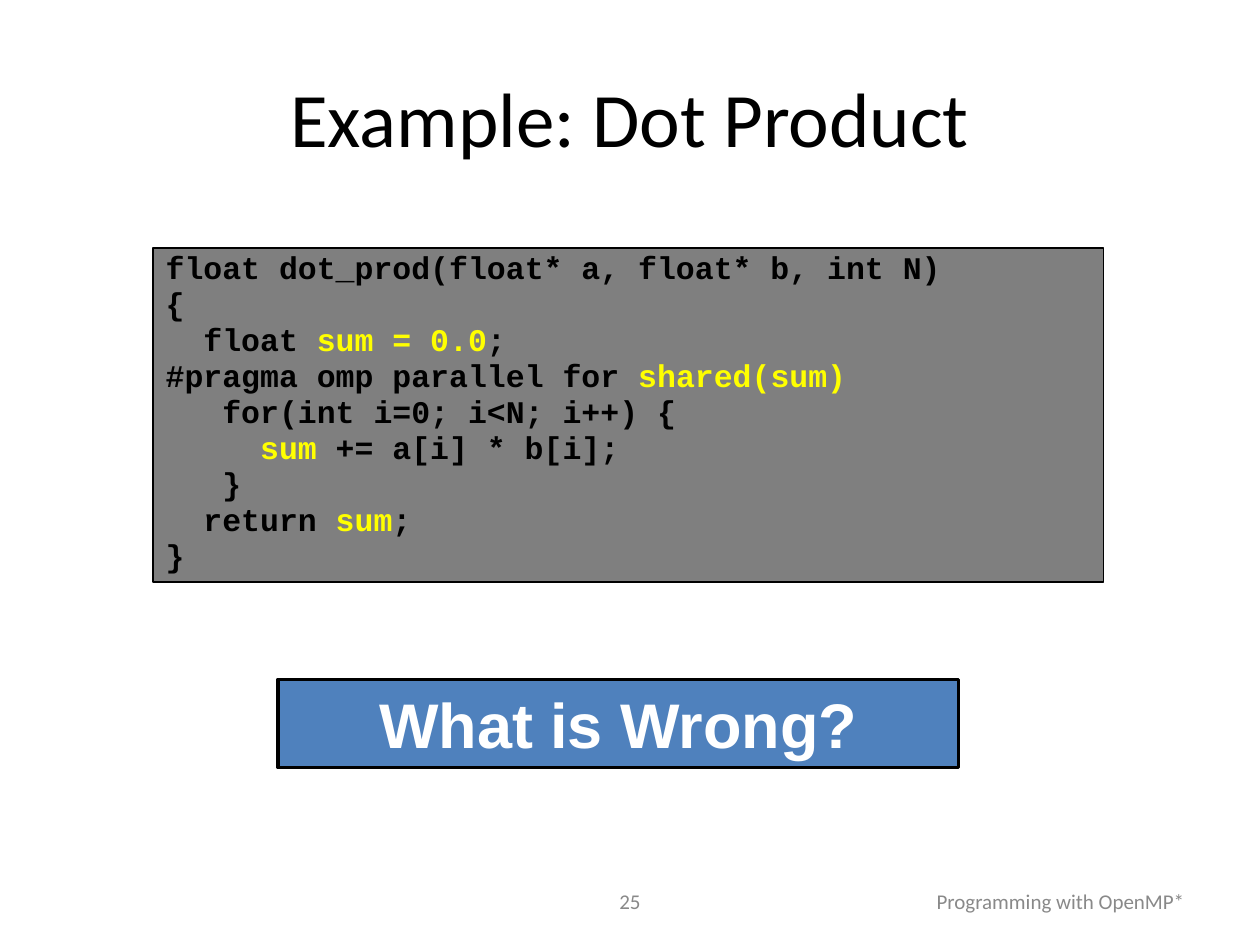
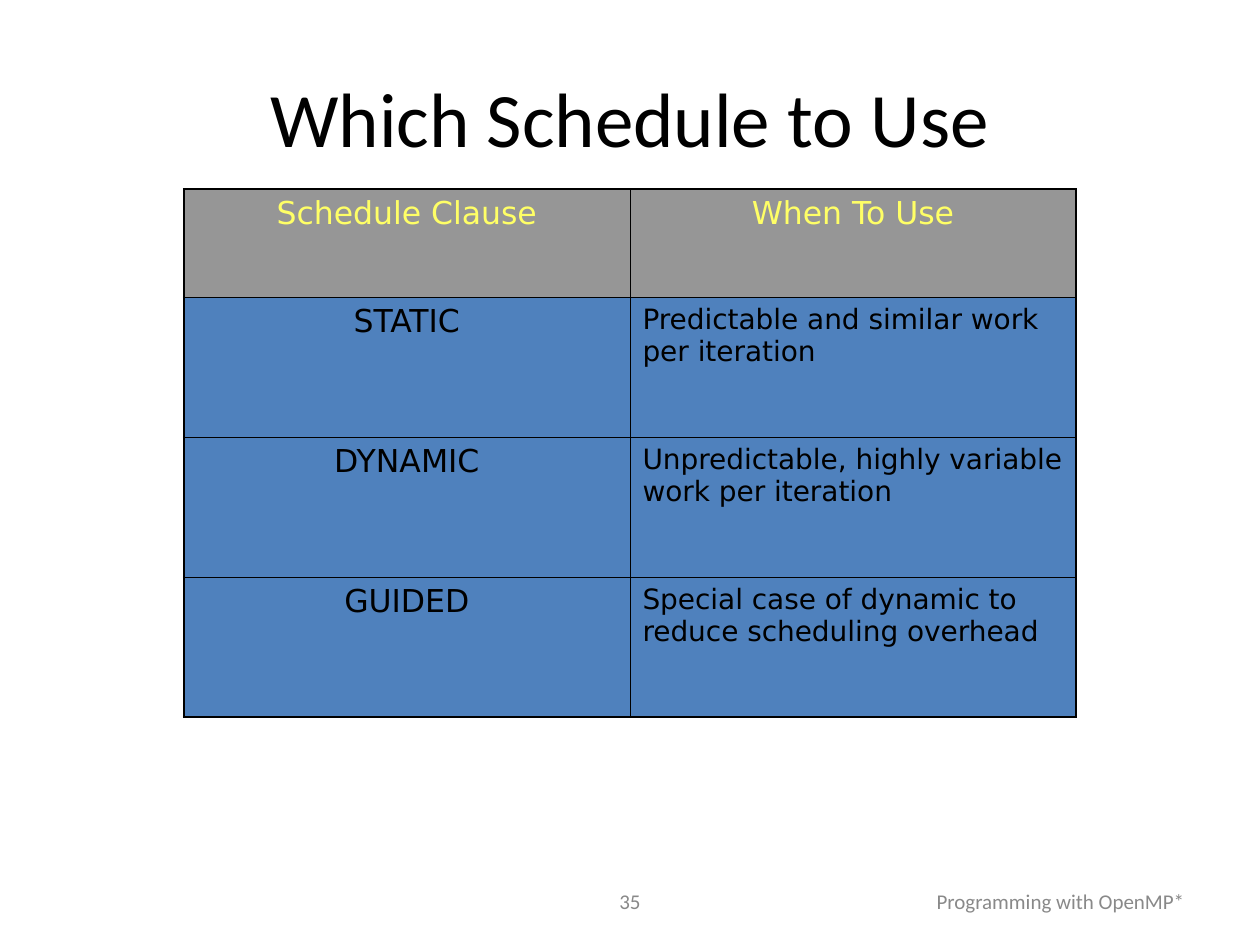
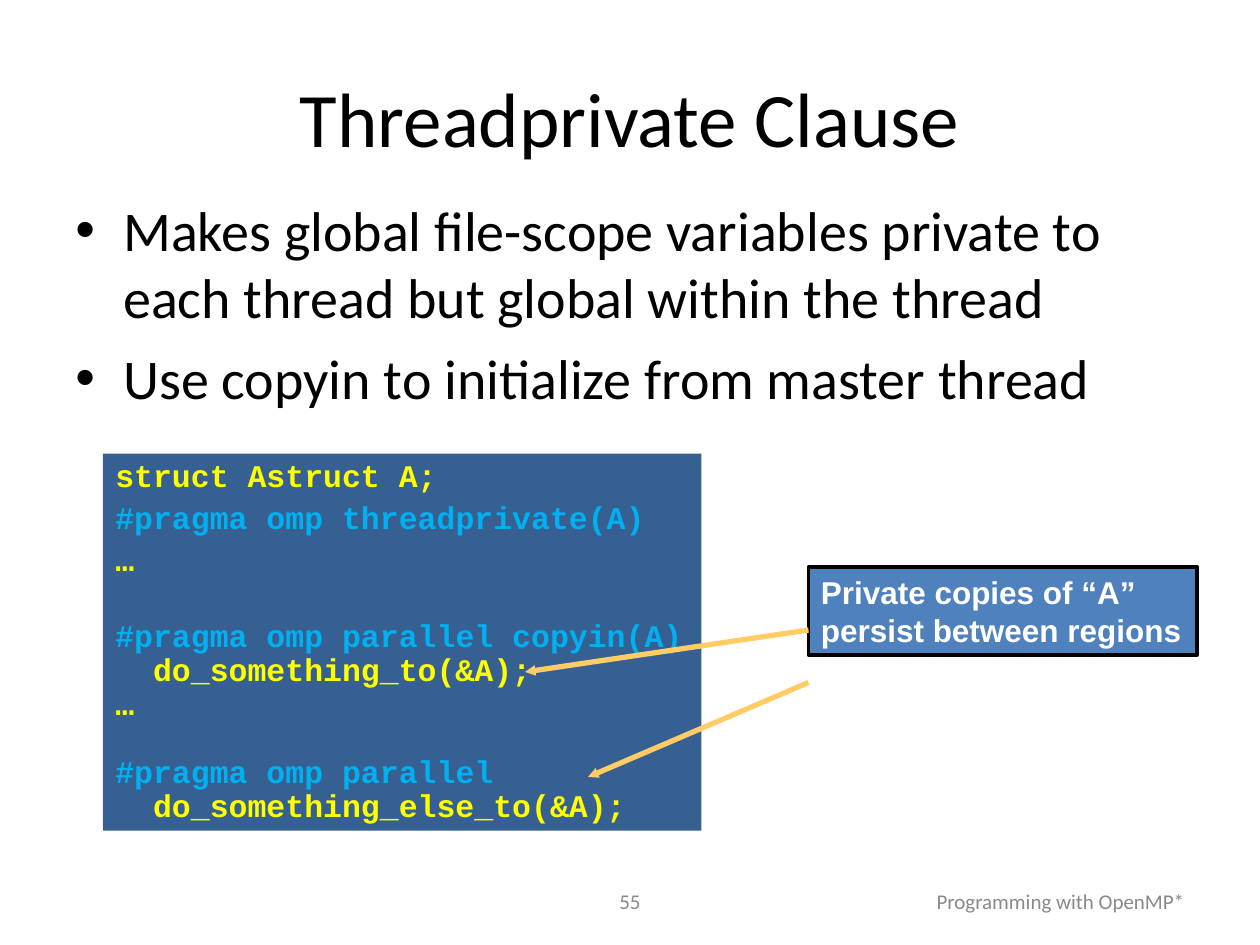
from pptx import Presentation, util as u
from pptx.dml.color import RGBColor
from pptx.enum import shapes, text
from pptx.oxml import parse_xml
from pptx.oxml.ns import nsdecls, qn

COLORS = {
    "black": "000000", "white": "FFFFFF", "footer": "898989",
    "code_gray": "7F7F7F", "code_navy": "376092", "blue": "4F81BD",
    "yellow": "FFFF00", "cyan": "00B0F0", "arrow": "FFCC66",
    "header": "969696", "header_text": "FFFF66",
}
CELL = u.Inches(1) / 12          # one grid column or row
CODE_CHARACTER = 0.15            # inches, width of an 18 pt code character
ALIGN = {"left": text.PP_ALIGN.LEFT, "center": text.PP_ALIGN.CENTER,
         "right": text.PP_ALIGN.RIGHT}


def grid(*cells):
    """Turn grid columns or rows into lengths."""
    return [u.Emu(round(cell * CELL)) for cell in cells]


def rgb(name):
    """Look up a named colour."""
    return RGBColor.from_string(COLORS[name])


def drawing(tag, content="", attributes=""):
    """Make one DrawingML element."""
    return parse_xml(f'<a:{tag} {nsdecls("a")} {attributes}>{content}</a:{tag}>')


def write(frame, content, first=True, size=18, font="Calibri", color="black",
          bold=False, align="left", before=0, spacing=None, margin=0,
          hanging=0, bullet=None):
    """Write one paragraph: a string, or a list of (string, colour) runs."""
    paragraph = frame.paragraphs[0] if first else frame.add_paragraph()
    paragraph.alignment = ALIGN[align]
    paragraph.space_before = u.Pt(before)
    if spacing:
        paragraph.line_spacing = spacing
    properties = paragraph._p.get_or_add_pPr()
    if margin or hanging:
        properties.set("marL", str(u.Inches(margin)))
        properties.set("indent", str(-u.Inches(hanging)))
    if bullet:
        properties.append(drawing("buFont", attributes='typeface="Arial"'))
        properties.append(drawing("buChar", attributes=f'char="{bullet}"'))
    runs = [(content, color)] if isinstance(content, str) else content
    for words, run_color in runs:
        run = paragraph.add_run()
        run.text = words
        run.font.size, run.font.name, run.font.bold = u.Pt(size), font, bold
        run.font.color.rgb = rgb(run_color)


class Deck:
    """The presentation, its style and the current slide."""

    def __init__(self):
        """Start a 4:3 presentation of 120 columns by 90 rows."""
        self.presentation = Presentation()
        self.presentation.slide_width, self.presentation.slide_height = grid(120, 90)
        self.slide = None

    def new_slide(self, title, number):
        """Add a slide with its footer and title."""
        self.slide = self.presentation.slides.add_slide(
            self.presentation.slide_layouts[6])
        footer = dict(size=12, color="footer")
        write(self.text_box(41, 83.4, 38, 4.8), str(number), align="center", **footer)
        write(self.text_box(86, 83.4, 28, 4.8), "Programming with OpenMP*",
              align="right", **footer)
        write(self.text_box(6, 3.6, 108, 15), title, size=44, align="center")

    def text_box(self, left, top, width, height, middle=True):
        """Add a wrapping text box and return its frame."""
        frame = self.slide.shapes.add_textbox(*grid(left, top, width, height)).text_frame
        frame.word_wrap = True
        frame.vertical_anchor = text.MSO_ANCHOR.MIDDLE if middle else text.MSO_ANCHOR.TOP
        return frame

    def panel(self, left, top, width, height, fill, line=0, middle=False):
        """Add a filled rectangle and return its text frame."""
        shape = self.slide.shapes.add_shape(
            shapes.MSO_SHAPE.RECTANGLE, *grid(left, top, width, height))
        shape.shadow.inherit = False
        shape.fill.solid()
        shape.fill.fore_color.rgb = rgb(fill)
        if line:
            shape.line.color.rgb = rgb("black")
            shape.line.width = u.Pt(line)
        else:
            shape.line.fill.background()
        frame = shape.text_frame
        frame.word_wrap = True
        frame.vertical_anchor = text.MSO_ANCHOR.MIDDLE if middle else text.MSO_ANCHOR.TOP
        return frame

    def code(self, frame, lines):
        """Write code lines given as (indent in characters, content, format)."""
        for index, (indent, content, style) in enumerate(lines):
            write(frame, content, first=index == 0, font="Courier New", bold=True,
                  margin=indent * CODE_CHARACTER, **style)

    def bullets(self, left, top, width, height, items):
        """Add a bulleted list."""
        frame = self.text_box(left, top, width, height, middle=False)
        for index, item in enumerate(items):
            write(frame, item, first=index == 0, size=32, before=8,
                  margin=0.38, hanging=0.38, bullet="•")

    def table(self, left, top, column_width, row_heights, rows):
        """Add a table with a header row, thin inner and thicker outer borders."""
        columns = len(rows[0])
        table = self.slide.shapes.add_table(
            len(rows), columns,
            *grid(left, top, column_width * columns, sum(row_heights))).table
        table.horz_banding = False
        for column in table.columns:
            column.width, = grid(column_width)
        for row, values in enumerate(rows):
            table.rows[row].height, = grid(row_heights[row])
            for column, value in enumerate(values):
                cell = table.cell(row, column)
                cell.fill.solid()
                cell.fill.fore_color.rgb = rgb("blue" if row else "header")
                body = row > 0 and column > 0
                write(cell.text_frame, value, font="DejaVu Sans",
                      size=16 if body else 18, align="left" if body else "center",
                      color="black" if row else "header_text")
                self.borders(cell, {"L": column == 0, "R": column == columns - 1,
                                    "T": row == 0, "B": row == len(rows) - 1})

    def borders(self, cell, outer_sides):
        """Draw the four borders of a cell, thicker on outer sides."""
        properties = cell._tc.get_or_add_tcPr()
        fill = f'<a:solidFill><a:srgbClr val="{COLORS["black"]}"/></a:solidFill>'
        for position, (side, outer) in enumerate(outer_sides.items()):
            width = u.Pt(1.08 if outer else 0.45)
            properties.insert(position, drawing(f"ln{side}", fill, f'w="{width}"'))

    def arrow(self, *ends):
        """Draw an arrow from one grid point to another."""
        connector = self.slide.shapes.add_connector(
            shapes.MSO_CONNECTOR.STRAIGHT, *grid(*ends))
        connector.line.color.rgb = rgb("arrow")
        connector.line.width = u.Pt(3)
        properties = connector._element.spPr
        properties.find(qn("a:ln")).append(
            drawing("tailEnd", attributes='type="triangle" w="sm" len="sm"'))
        properties.append(drawing("effectLst"))


def dot_product(deck):
    """Build the code example with its question."""
    deck.new_slide("Example: Dot Product", 25)
    lines = [
        (0, "float dot_prod(float* a, float* b, int N)"),
        (0, "{"),
        (2, [("float ", "black"), ("sum = 0.0", "yellow"), (";", "black")]),
        (0, [("#pragma omp parallel for ", "black"), ("shared(sum)", "yellow")]),
        (3, "for(int i=0; i<N; i++) {"),
        (5, [("sum ", "yellow"), ("+= a[i] * b[i];", "black")]),
        (3, "}"),
        (2, [("return ", "black"), ("sum", "yellow"), (";", "black")]),
        (0, "}"),
    ]
    style = dict(spacing=0.85, before=2.2)
    deck.code(deck.panel(14.6, 23.6, 90.5, 31.8, "code_gray", line=1),
              [(indent, content, style) for indent, content in lines])
    write(deck.panel(26.5, 64.7, 64.8, 8.4, "blue", line=2, middle=True),
          "What is Wrong?", size=36, font="Arial", color="white", bold=True,
          align="center")


def schedules(deck):
    """Build the table of schedule clauses."""
    deck.new_slide("Which Schedule to Use", 35)
    deck.table(17.5, 18, 42.5, [10.3] + [13.33] * 3, [
        ("Schedule Clause", "When To Use"),
        ("STATIC", "Predictable and similar work per iteration"),
        ("DYNAMIC", "Unpredictable, highly variable work per iteration"),
        ("GUIDED", "Special case of dynamic to reduce scheduling overhead"),
    ])


def threadprivate(deck):
    """Build the bullets, the code and its callout."""
    deck.new_slide("Threadprivate Clause", 55)
    deck.bullets(6, 18, 109.3, 53, [
        "Makes global file-scope variables private to each thread "
        "but global within the thread",
        "Use copyin to initialize from master thread",
    ])
    lines = [  # indent, content, colour, line spacing, space before
        (0, "struct Astruct A;", "yellow", 0.9, 4.5),
        (0, "#pragma omp threadprivate(A)", "cyan", 0.9, 4.5),
        (0, "…", "yellow", 0.9, 4.5),
        (0, "#pragma omp parallel copyin(A)", "cyan", 0.85, 25),
        (2, "do_something_to(&A);", "yellow", 0.85, 1.1),
        (0, "…", "yellow", 0.85, 1.1),
        (0, "#pragma omp parallel", "cyan", 0.85, 20.5),
        (2, "do_something_else_to(&A);", "yellow", 0.85, 1.1),
    ]
    deck.code(deck.panel(9.8, 43.2, 57, 35.9, "code_navy", middle=True),
              [(indent, content, dict(color=color, spacing=spacing, before=before))
               for indent, content, color, spacing, before in lines])
    write(deck.panel(77, 54, 37, 8.4, "blue", line=2),
          "Private copies of “A” persist between regions",
          font="Arial", color="white", bold=True)
    deck.arrow(77, 60, 50, 64)
    deck.arrow(77, 65, 56, 74)


deck = Deck()
for build in (dot_product, schedules, threadprivate):
    build(deck)
deck.presentation.save("out.pptx")
